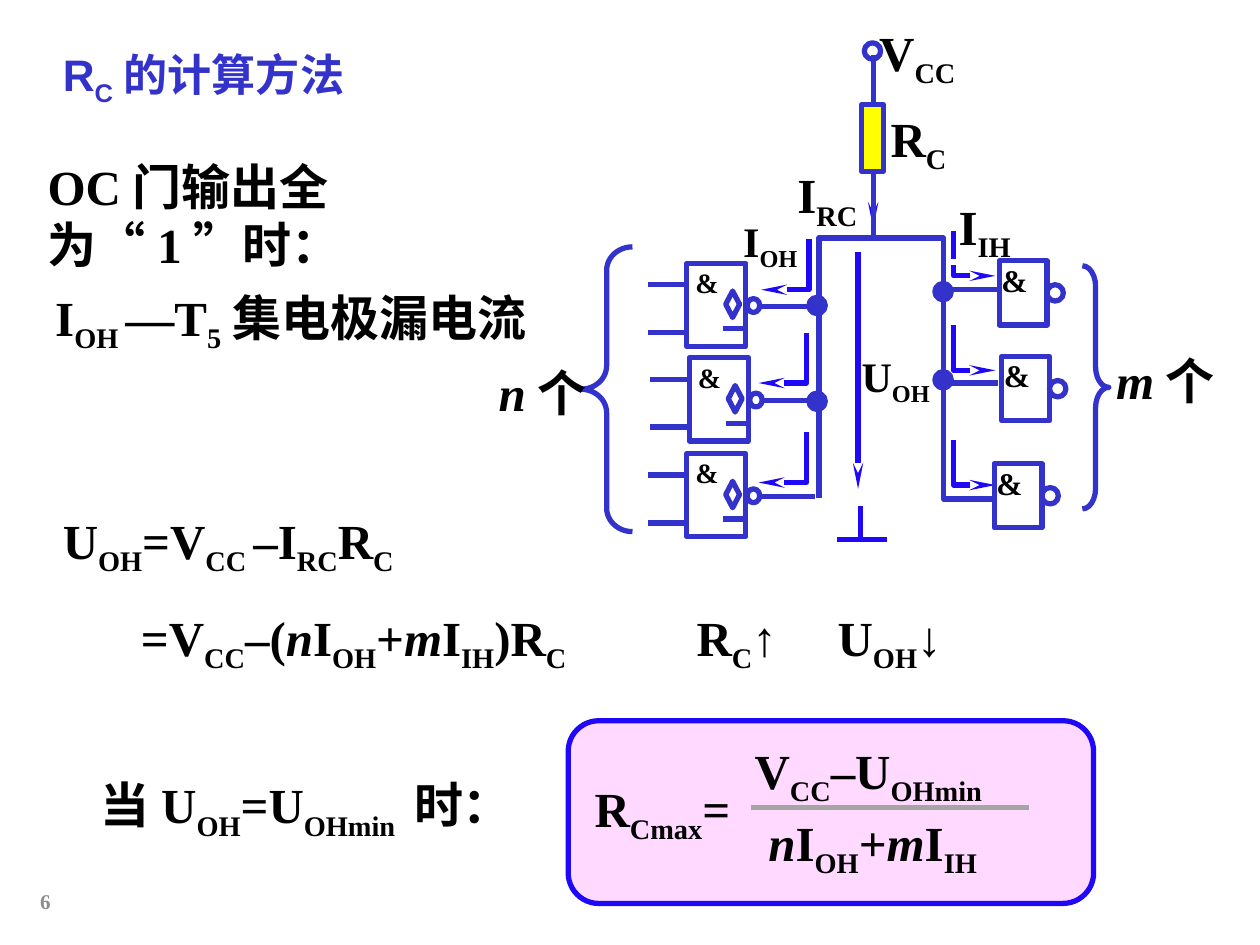
from dataclasses import dataclass

from lxml import etree
from pptx import Presentation
from pptx import util as u
from pptx.dml.color import RGBColor
from pptx.enum import lang, shapes, text
from pptx.oxml.ns import qn

INDIGO, BLUE, BLACK, WHITE = "3333CC", "1F08F8", "000000", "FFFFFF"
GRAY, PALE_GRAY, YELLOW, PINK = "8C8C8C", "A5A5A5", "FFFF00", "FFD9FF"
STROKE = 3
SHAPE = shapes.MSO_SHAPE


@dataclass
class Label:
    """Text in which _x_ is a subscript and *x* is italic."""
    markup: str
    left: float
    top: float
    width: float
    size: float = 28
    height: float = 0.57
    outline: str | None = None


def color(value: str) -> RGBColor:
    return RGBColor.from_string(value)


def paint_line(line, value: str) -> None:
    line.color.rgb = color(value)
    line.width = u.Pt(STROKE)


def add_arrowhead(shape) -> None:
    outline = shape.element.spPr.find(qn("a:ln"))
    etree.SubElement(outline, qn("a:tailEnd"), type="stealth", w="sm", len="lg")


def add_text(page, label: Label, *, font: str = "Times New Roman", value: str = BLACK,
             bold: bool = True, align=None, anchor=text.MSO_ANCHOR.TOP,
             spacing: float | None = None):
    box = page.shapes.add_textbox(u.Inches(label.left), u.Inches(label.top),
                                  u.Inches(label.width), u.Inches(label.height))
    frame = box.text_frame
    frame.word_wrap = True
    frame.vertical_anchor = anchor
    if label.outline:
        paint_line(box.line, label.outline)
    para = frame.paragraphs[0]
    para.alignment = align
    para.line_spacing = spacing
    for i, level in enumerate(label.markup.split("_")):
        for j, words in enumerate(level.split("*")):
            if not words:
                continue
            span = para.add_run()
            span.text = words
            span.font.name = font
            span.font.size = u.Pt(label.size)
            span.font.bold = bold
            span.font.italic = j % 2 == 1
            span.font.color.rgb = color(value)
            span.font.language_id = lang.MSO_LANGUAGE_ID.SIMPLIFIED_CHINESE
            if i % 2:
                span.font.element.set("baseline", "-25000") if hasattr(
                    span.font, "element") else span._r.get_or_add_rPr().set("baseline", "-25000")
    return box


def add_line(page, x1: float, y1: float, x2: float, y2: float,
             value: str = INDIGO, arrow: bool = False) -> None:
    line = page.shapes.add_connector(shapes.MSO_CONNECTOR.STRAIGHT, u.Inches(x1),
                                     u.Inches(y1), u.Inches(x2), u.Inches(y2))
    paint_line(line.line, value)
    if arrow:
        add_arrowhead(line)
    etree.SubElement(line.element.spPr, qn("a:effectLst"))


def add_path(page, points: list[tuple[float, float]], value: str = INDIGO,
             arrow: bool = False) -> None:
    corners = [(u.Inches(x), u.Inches(y)) for x, y in points]
    builder = page.shapes.build_freeform(*corners[0])
    builder.add_line_segments(corners[1:], close=False)
    path = builder.convert_to_shape()
    path.shadow.inherit = False
    path.fill.background()
    paint_line(path.line, value)
    if arrow:
        add_arrowhead(path)


def add_figure(page, kind, left: float, top: float, width: float, height: float,
               fill: str | None = None, value: str = INDIGO,
               adjust: tuple[float, ...] = ()) -> None:
    figure = page.shapes.add_shape(kind, u.Inches(left), u.Inches(top),
                                   u.Inches(width), u.Inches(height))
    figure.shadow.inherit = False
    if fill:
        figure.fill.solid()
        figure.fill.fore_color.rgb = color(fill)
    else:
        figure.fill.background()
    paint_line(figure.line, value)
    for i, amount in enumerate(adjust):
        figure.adjustments[i] = amount


def add_dot(page, left: float, top: float, fill: str | None = None) -> None:
    add_figure(page, SHAPE.OVAL, left, top, 0.13, 0.13, fill)


def add_driver_gate(page, x: float, y: float) -> None:
    """Open-collector gate with two inputs and an inverted output."""
    add_line(page, x + 0.58, y + 0.34, x + 1.02, y + 0.34)
    add_figure(page, SHAPE.RECTANGLE, x, y, 0.47, 0.66)
    add_figure(page, SHAPE.OVAL, x + 0.48, y + 0.28, 0.1, 0.11)
    for offset in (0.17, 0.55):
        add_line(page, x - 0.31, y + offset, x, y + offset)
    add_line(page, x + 0.29, y + 0.52, x + 0.46, y + 0.52)
    add_figure(page, SHAPE.DIAMOND, x + 0.31, y + 0.22, 0.11, 0.21)
    add_text(page, Label("&", x - 0.03, y - 0.03, 0.47, 16, 0.37))


def add_load_gate(page, x: float, y: float) -> None:
    add_figure(page, SHAPE.RECTANGLE, x, y, 0.38, 0.51)
    add_dot(page, x + 0.38, y + 0.19)
    add_text(page, Label("&", x - 0.08, y - 0.05, 0.64, 18, 0.4))


def add_currents(page) -> None:
    add_line(page, 6.81, 2, 6.81, 3.88, BLUE, arrow=True)
    add_line(page, 6.64, 4.28, 7.04, 4.28, BLUE)
    add_line(page, 6.83, 4.28, 6.83, 4.02, BLUE)
    for x, y in ((6.42, 1.9), (6.4, 2.64), (6.4, 3.43)):
        add_path(page, [(x, y), (x, y + 0.4), (x - 0.38, y + 0.4)], BLUE, arrow=True)
    for y in (1.83, 2.58, 3.49):
        add_path(page, [(7.57, y), (7.57, y + 0.36), (7.9, y + 0.36)], BLUE, arrow=True)
    add_line(page, 6.93, 1.38, 6.93, 1.81, BLUE, arrow=True)
    for label in (Label("U_OH_", 6.74, 2.73, 0.92, 24, 0.5),
                  Label("I_OH_", 5.8, 1.66, 0.89, 24, 0.5),
                  Label("I_IH_", 7.51, 1.51, 0.72, outline=WHITE),
                  Label("I_RC_", 6.23, 1.26, 0.73)):
        add_text(page, label)


def add_equations(page) -> None:
    for markup, left, top, width in (
            ("OC门输出全为“1”时：", 0.28, 1.19, 4.23),
            ("I_OH _—T_5_集电极漏电流", 0.34, 2.23, 4.06),
            ("U_OH_=V_CC _–I_RC_R_C_", 0.4, 4, 3.19),
            ("=V_CC_–(*n*I_OH_+*m*I_IH_)R_C_", 1.02, 4.77, 3.98),
            ("R_C_↑", 5.43, 4.77, 1.1),
            ("U_OH_↓", 6.55, 4.77, 1.37),
            ("当U_OH_=U_OHmin _时：", 0.7, 6.1, 3.87)):
        add_text(page, Label(markup, left, top, width, outline=WHITE))


def add_result(page) -> None:
    add_figure(page, SHAPE.ROUNDED_RECTANGLE, 4.51, 5.72, 4.17, 1.45, PINK, BLUE, (0.167,))
    add_text(page, Label("R_Cmax_=", 4.62, 6.13, 1.55))
    add_line(page, 5.96, 6.41, 8.17, 6.41, PALE_GRAY)
    add_text(page, Label("V_CC_–U_OHmin_", 5.89, 5.83, 2.24))
    add_text(page, Label("*n*I_OH_+*m*I_IH_", 6, 6.4, 2.08))


def add_circuit(page) -> None:
    add_line(page, 6.93, 0.44, 6.93, 1.91)
    add_figure(page, SHAPE.RECTANGLE, 6.84, 0.83, 0.17, 0.53, YELLOW)
    add_dot(page, 6.86, 0.34)
    add_path(page, [(6.5, 3.95), (6.5, 1.89), (7.49, 1.89), (7.49, 3.96), (7.88, 3.96)])
    add_figure(page, SHAPE.LEFT_BRACE, 4.61, 1.96, 0.41, 2.26, adjust=(0.455, 0.5))
    add_figure(page, SHAPE.RIGHT_BRACE, 8.59, 2.11, 0.21, 1.93, adjust=(0.777, 0.5))
    for label in (Label("V_CC_", 6.88, 0.13, 1.06), Label("R_C_", 6.97, 0.81, 0.83),
                  Label("*n*个", 3.86, 2.83, 1.02), Label("*m*个", 8.76, 2.73, 1.02)):
        add_text(page, label)
    for y in (2.3, 3.04):
        add_line(page, 7.92, y, 7.46, y)
    for x, y in ((5.45, 2.09), (5.47, 2.84), (5.45, 3.6)):
        add_driver_gate(page, x, y)
    for x, y in ((7.93, 2.07), (7.95, 2.83), (7.89, 3.68)):
        add_load_gate(page, x, y)
    for x, y in ((6.42, 2.36), (6.42, 3.12), (7.42, 2.25), (7.42, 2.95)):
        add_dot(page, x, y, INDIGO)


def main() -> None:
    deck = Presentation()
    deck.slide_width, deck.slide_height = u.Inches(10), u.Inches(7.5)
    page = deck.slides.add_slide(deck.slide_layouts[6])
    add_text(page, Label("R_C_的计算方法", 0.4, 0.34, 2.86, 25.2, 0.51), font="Arial",
             value=INDIGO, anchor=text.MSO_ANCHOR.MIDDLE, spacing=0.9)
    add_text(page, Label("6", -1.75, 6.95, 2.25, 12, 0.4), value=GRAY,
             align=text.PP_ALIGN.RIGHT, anchor=text.MSO_ANCHOR.MIDDLE)
    add_currents(page)
    add_equations(page)
    add_result(page)
    add_circuit(page)
    deck.save("out.pptx")


if __name__ == "__main__":
    main()
